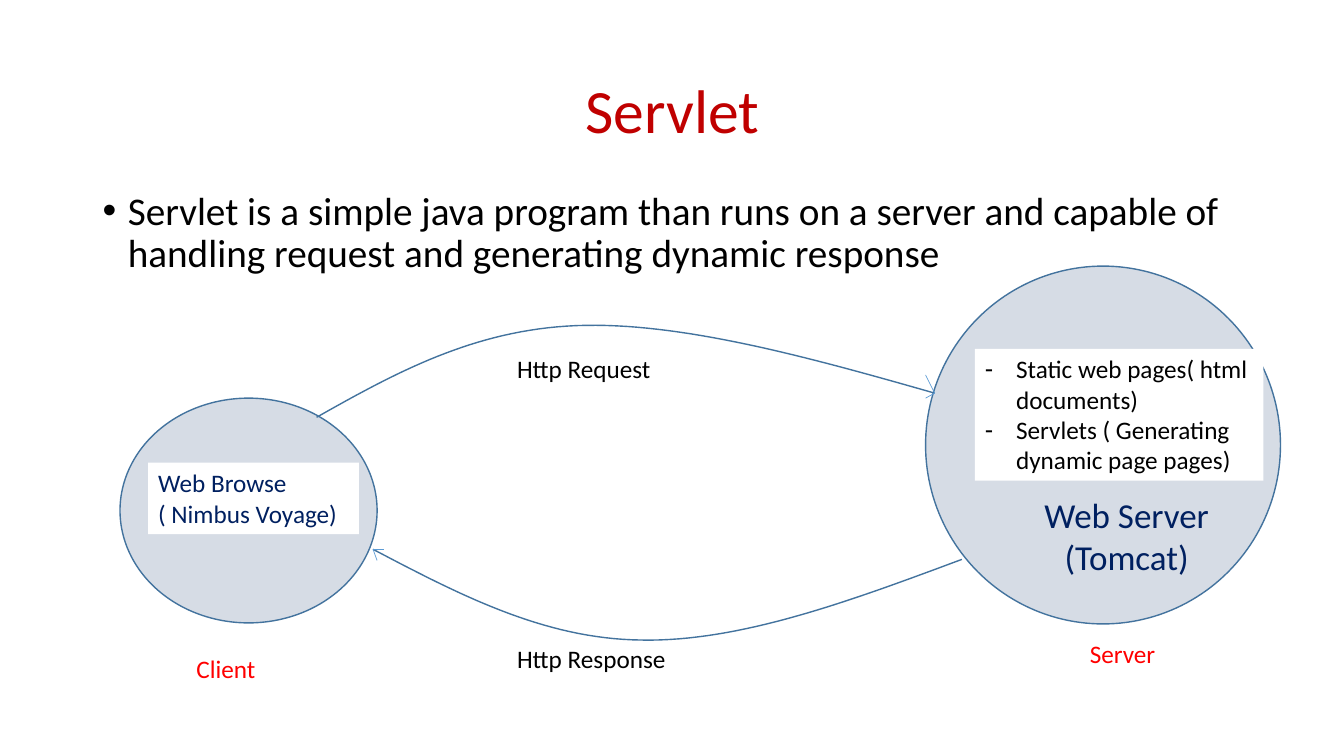
from dataclasses import dataclass
from typing import Optional

from lxml.etree import SubElement as add_element
from pptx import Presentation
from pptx.dml.color import RGBColor
from pptx.enum.shapes import MSO_CONNECTOR as Connector, MSO_SHAPE as Preset
from pptx.enum.text import MSO_ANCHOR as Anchor, MSO_AUTO_SIZE as AutoSize, PP_ALIGN as Align
from pptx.oxml.ns import qn
from pptx.util import Inches, Pt

COLORS = {
    "title": "C00000",
    "text": "000000",
    "caption": "FF0000",
    "node_text": "002060",
    "node": "D6DCE5",
    "outline": "43739E",
    "arrowhead": "5B9BD5",
    "panel": "FFFFFF",
}
CURVE_STEPS = 32

Point = tuple[float, float]
Area = tuple[float, float, float, float]


@dataclass
class Label:
    area: Area
    lines: list[str]
    color: str = "text"
    size: float = 18
    align: Align = Align.LEFT
    fill: Optional[str] = None
    bullet: Optional[str] = None
    indent: float = 0
    spacing: float = 1
    fit: AutoSize = AutoSize.SHAPE_TO_FIT_TEXT


@dataclass
class Arrow:
    curves: list[tuple[Point, Point, Point, Point]]
    barbs: list[Point]


TITLE = Label((0.92, 0.4, 11.5, 1.45), ["Servlet"], "title", 44,
              Align.CENTER, spacing=0.9, fit=AutoSize.NONE)
NODES: list[Area] = [(1.19, 3.95, 2.55, 2.23), (9.18, 2.64, 3.52, 3.55)]
LABELS = [
    Label((0.92, 1.85, 11.5, 1.05),
          ["Servlet is a simple java program than runs on a server and capable of "
           "handling request and generating dynamic response"],
          size=28, bullet="•", indent=0.25, spacing=0.9, fit=AutoSize.NONE),
    Label((1.85, 6.43, 1.71, 0.4), ["Client"], "caption"),
    Label((10.71, 6.28, 1.71, 0.4), ["Server"], "caption"),
    Label((1.47, 4.59, 2.09, 0.71), ["Web Browse", "( Nimbus Voyage)"],
          "node_text", fill="panel"),
    Label((9.67, 3.46, 2.86, 1.31),
          ["Static web pages( html documents)",
           "Servlets ( Generating dynamic page pages)"],
          fill="panel", bullet="-", indent=0.31),
    Label((10.11, 4.85, 2.13, 0.94), ["Web Server", "(Tomcat)"],
          "node_text", 25, Align.CENTER),
    Label((5.03, 3.46, 1.79, 0.4), ["Http Request"]),
    Label((5.03, 6.33, 1.79, 0.4), ["Http Response"]),
]
ARROWS = [
    Arrow([((3.14, 4.14), (3.92, 3.7), (4.7, 3.27), (5.72, 3.23)),
           ((5.72, 3.23), (6.74, 3.19), (8.01, 3.54), (9.27, 3.9))],
          [(9.18, 3.72), (9.18, 3.95)]),
    Arrow([((9.54, 5.55), (8.44, 5.96), (7.34, 6.37), (6.36, 6.35)),
           ((6.36, 6.35), (5.39, 6.34), (4.54, 5.89), (3.7, 5.45))],
          [(3.74, 5.56), (3.81, 5.45)]),
]


def rgb(name: str) -> RGBColor:
    return RGBColor.from_string(COLORS[name])


def apply(target, formats: dict) -> None:
    for name, value in formats.items():
        setattr(target, name, value)


def place(shape, area: Area) -> None:
    apply(shape, dict(zip(("left", "top", "width", "height"), map(Inches, area))))


def outline(shape, color: str, width: float) -> None:
    shape.line.color.rgb = rgb(color)
    shape.line.width = Pt(width)


def add_bullet(para, label: Label) -> None:
    properties = para._p.get_or_add_pPr()
    properties.set("marL", str(Inches(label.indent)))
    properties.set("indent", str(-Inches(label.indent)))
    add_element(properties, qn("a:buFont")).set("typeface", "Arial")
    add_element(properties, qn("a:buChar")).set("char", label.bullet)


def write(box, label: Label) -> None:
    frame = box.text_frame
    apply(frame, {"word_wrap": True, "auto_size": label.fit})
    for index, line in enumerate(label.lines):
        para = frame.add_paragraph() if index else frame.paragraphs[0]
        if label.bullet:
            add_bullet(para, label)
        apply(para, {"alignment": label.align, "line_spacing": label.spacing})
        span = para.add_run()
        span.text = line
        apply(span.font, {"name": "Calibri", "size": Pt(label.size)})
        span.font.color.rgb = rgb(label.color)


def draw_label(page, label: Label) -> None:
    box = page.shapes.add_textbox(*map(Inches, label.area))
    if label.fill:
        box.fill.solid()
        box.fill.fore_color.rgb = rgb(label.fill)
    write(box, label)


def draw_node(page, area: Area) -> None:
    node = page.shapes.add_shape(Preset.OVAL, *map(Inches, area))
    node.shadow.inherit = False
    node.fill.solid()
    node.fill.fore_color.rgb = rgb("node")
    outline(node, "outline", 1)


def curve_point(controls: tuple[Point, Point, Point, Point], t: float) -> Point:
    weights = ((1 - t) ** 3, 3 * t * (1 - t) ** 2, 3 * t ** 2 * (1 - t), t ** 3)
    x, y = (sum(w * value for w, value in zip(weights, axis)) for axis in zip(*controls))
    return Inches(x), Inches(y)


def draw_arrow(page, arrow: Arrow) -> None:
    start = curve_point(arrow.curves[0], 0)
    builder = page.shapes.build_freeform(*start)
    builder.add_line_segments(
        [curve_point(curve, step / CURVE_STEPS)
         for curve in arrow.curves for step in range(1, CURVE_STEPS + 1)],
        close=False)
    path_shape = builder.convert_to_shape()
    path_shape.shadow.inherit = False
    path_shape.fill.background()
    outline(path_shape, "outline", 1)
    tip = arrow.curves[-1][-1]
    for barb in arrow.barbs:
        stroke = page.shapes.add_connector(Connector.STRAIGHT, *map(Inches, tip + barb))
        outline(stroke, "arrowhead", 0.5)
        add_element(stroke._element.spPr, qn("a:effectLst"))


def main() -> None:
    deck = Presentation()
    apply(deck, {"slide_width": Inches(13.33), "slide_height": Inches(7.5)})
    page = deck.slides.add_slide(deck.slide_layouts[5])
    title = page.shapes.title
    place(title, TITLE.area)
    write(title, TITLE)
    title.text_frame.vertical_anchor = Anchor.MIDDLE
    for area in NODES:
        draw_node(page, area)
    for label in LABELS:
        draw_label(page, label)
    for arrow in ARROWS:
        draw_arrow(page, arrow)
    deck.save("out.pptx")


if __name__ == "__main__":
    main()
